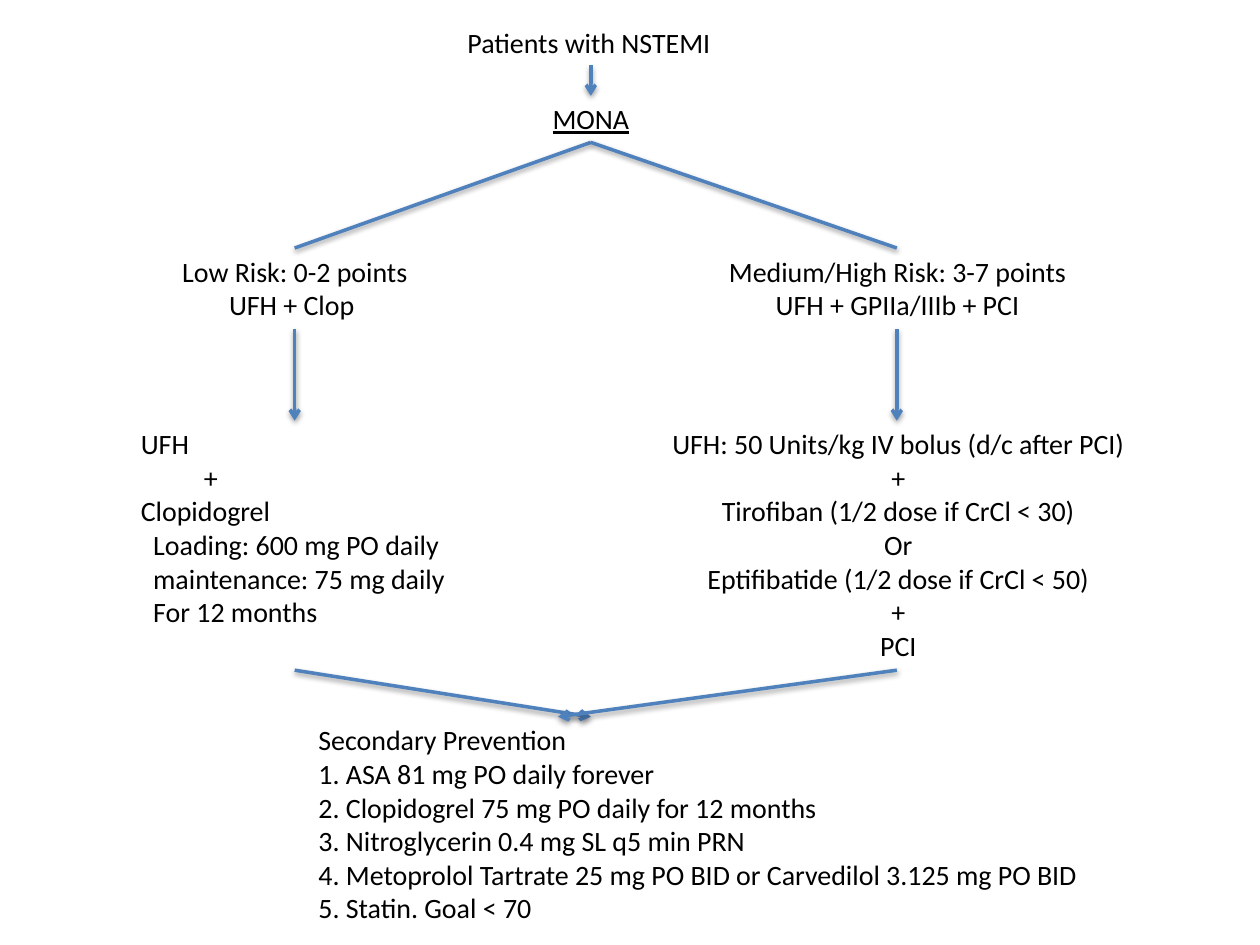
from lxml import etree
from pptx import Presentation
from pptx.dml.color import RGBColor
from pptx.enum import shapes, text
from pptx.oxml import ns
from pptx.util import Cm, Pt

BLACK = RGBColor(0x00, 0x00, 0x00)
BLUE = RGBColor(0x4F, 0x81, 0xBD)
LEFT, MID, RIGHT = 5.94, 11.91, 18.08
CENTER = text.PP_ALIGN.CENTER
START = text.PP_ALIGN.LEFT


def node(parent, tag, **attrs):
    return etree.SubElement(parent, ns.qn(tag), **attrs)


def write(box, lines, align, wrap=False, under=False, dents=None):
    frame = box.text_frame
    frame.word_wrap = wrap
    frame.auto_size = text.MSO_AUTO_SIZE.SHAPE_TO_FIT_TEXT
    frame.vertical_anchor = text.MSO_ANCHOR.TOP
    for i, line in enumerate(lines):
        para = frame.add_paragraph() if i else frame.paragraphs[0]
        para.alignment = align
        if dents and dents[i]:
            para._p.get_or_add_pPr().set("marL", str(Cm(dents[i])))
        run = para.add_run()
        run.text = line
        font = run.font
        font.name = "Calibri"
        font.size = Pt(16)
        font.color.rgb = BLACK
        if under:
            font.underline = True


def label(slide, x, y, w, h, lines, align=CENTER, **style):
    box = slide.shapes.add_textbox(Cm(x), Cm(y), Cm(w), Cm(h))
    write(box, lines, align, **style)


def head(slide, x, y, w, h, line):
    title = slide.shapes.title
    title.left, title.top, title.width, title.height = Cm(x), Cm(y), Cm(w), Cm(h)
    write(title, [line], START)


def link(slide, x1, y1, x2, y2, arrow=True):
    line = slide.shapes.add_connector(
        shapes.MSO_CONNECTOR.STRAIGHT, Cm(x1), Cm(y1), Cm(x2), Cm(y2))
    line.line.color.rgb = BLUE
    line.line.width = Pt(2)
    if arrow:
        node(line.line._get_or_add_ln(), "a:tailEnd", type="arrow")
    effects = node(line._element.spPr, "a:effectLst")
    shade = node(effects, "a:outerShdw", blurRad=str(Pt(3.1)), dist=str(Pt(1.6)),
                 dir="5400000", rotWithShape="0")
    color = node(shade, "a:srgbClr", val=str(BLACK))
    node(color, "a:alpha", val="38000")


def main():
    deck = Presentation()
    deck.slide_width, deck.slide_height = Cm(25.4), Cm(19.05)
    slide = deck.slides.add_slide(deck.slide_layouts[5])

    head(slide, 9.17, 0.38, 5.49, 0.94, "Patients with NSTEMI")
    label(slide, 10.87, 1.93, 2.08, 0.94, ["MONA"], under=True)
    label(slide, 14.4, 5, 7.39, 1.63,
          ["Medium/High Risk: 3-7 points", "UFH + GPIIa/IIIb + PCI"])
    label(slide, 3.38, 5, 5.13, 1.63, ["Low Risk: 0-2 points", "UFH + Clop "])
    label(slide, 2.59, 8.48, 6.73, 5.05,
          ["UFH", "+", "Clopidogrel", "Loading: 600 mg PO daily",
           "maintenance: 75 mg daily", "For 12 months"],
          START, dents=[0, 1.27, 0, 0.25, 0.25, 0.25])
    label(slide, 13.13, 8.48, 9.96, 5.05,
          ["UFH: 50 Units/kg IV bolus (d/c after PCI)", "+",
           "Tirofiban (1/2 dose if CrCl < 30)", "Or",
           "Eptifibatide (1/2 dose if CrCl < 50)", "+", "PCI"], wrap=True)
    label(slide, 6.17, 14.45, 19.23, 4.37,
          ["Secondary Prevention", "1. ASA 81 mg PO daily forever",
           "2. Clopidogrel 75 mg PO daily for 12 months",
           "3. Nitroglycerin 0.4 mg SL q5 min PRN",
           "4. Metoprolol Tartrate 25 mg PO BID or Carvedilol 3.125 mg PO BID",
           "5. Statin. Goal < 70"], START, wrap=True)

    link(slide, MID, 1.32, MID, 1.93)
    for side, end in ((LEFT, MID), (RIGHT, 11.25)):
        link(slide, MID, 2.87, side, 5, arrow=False)
        link(slide, side, 6.63, side, 8.48)
        link(slide, side, 13.51, end, 14.45)

    deck.save("out.pptx")


if __name__ == "__main__":
    main()
